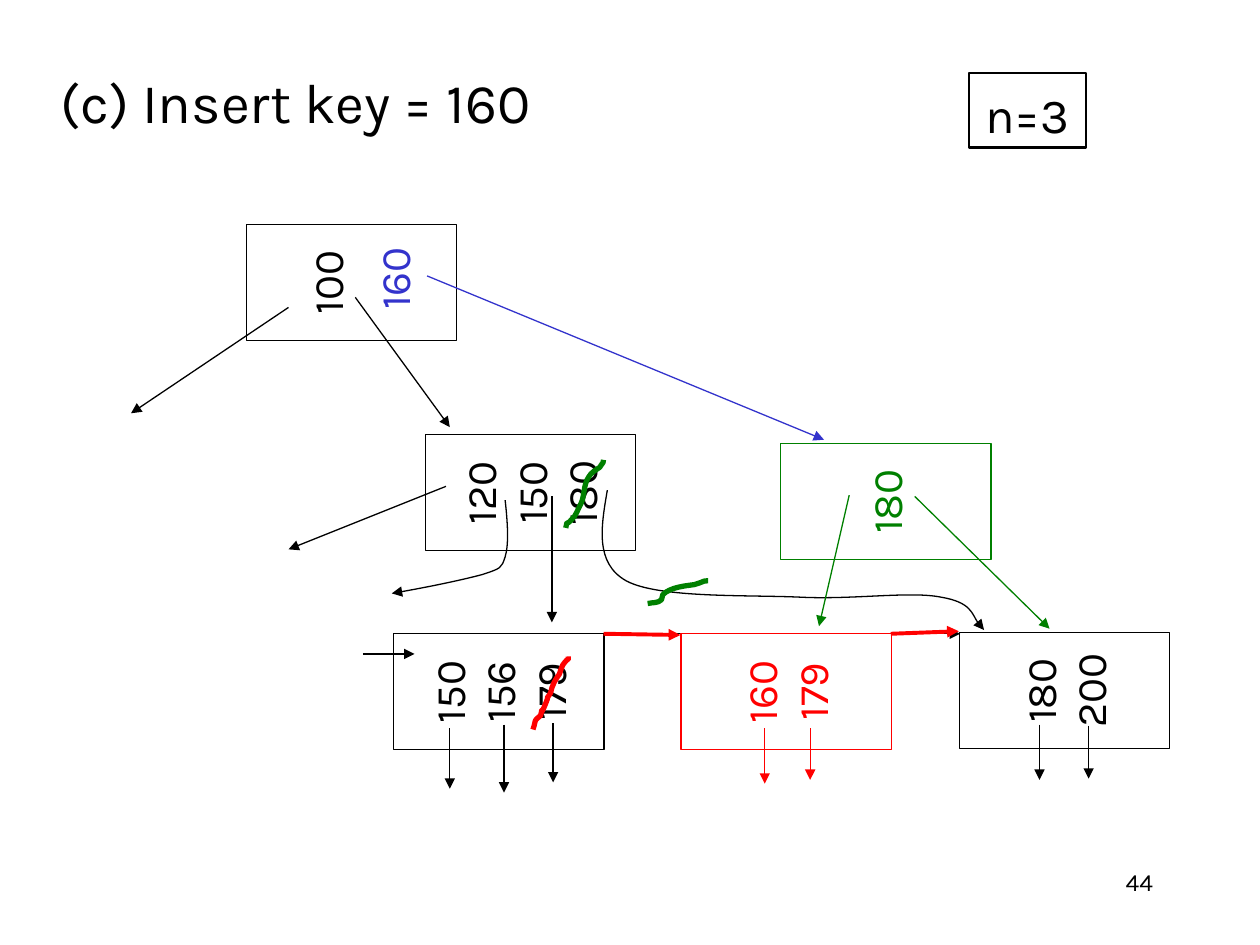
from lxml.etree import SubElement
from pptx import Presentation
from pptx.dml.color import RGBColor
from pptx.enum.shapes import MSO_CONNECTOR as Link, MSO_SHAPE as Form
from pptx.enum.text import MSO_ANCHOR as Anchor, PP_ALIGN as Align
from pptx.oxml.ns import qn
from pptx.util import Inches, Pt

COLS, ROWS = 100, 75
BLACK, BLUE, GREEN, RED = "000000", "3333CC", "008000", "FF0000"


def color(code):
    return RGBColor.from_string(code)


class Board:
    """Draws on one slide; lengths are columns and rows of a 100 x 75 grid."""
    font = "Karla"
    thin = 0.75
    node_w, node_h = 16.7, 9.2

    def __init__(self, deck):
        self.slide = deck.slides.add_slide(deck.slide_layouts[6])
        self.shapes = self.slide.shapes
        self.dx = deck.slide_width / COLS
        self.dy = deck.slide_height / ROWS

    def spot(self, x, y):
        return round(x * self.dx), round(y * self.dy)

    def letter(self, shape, lines, size, ink, align=Align.CENTER, anchor=Anchor.MIDDLE, wrap=False):
        """Sets the lines as the shape's paragraphs and returns its text frame."""
        frame = shape.text_frame
        frame.word_wrap = wrap
        frame.vertical_anchor = anchor
        for i, line in enumerate(lines):
            para = frame.paragraphs[0] if i == 0 else frame.add_paragraph()
            para.alignment = align
            run = para.add_run()
            run.text = line
            run.font.name = self.font
            run.font.size = Pt(size)
            run.font.color.rgb = color(ink)
        return frame

    def label(self, x, y, w, h, text, size, ink=BLACK, turn=0, **style):
        box = self.shapes.add_textbox(*self.spot(x, y), *self.spot(w, h))
        box.rotation = turn
        self.letter(box, [text], size, ink, **style)

    def box(self, x, y, w, h, ink, width):
        rect = self.shapes.add_shape(Form.RECTANGLE, *self.spot(x, y), *self.spot(w, h))
        rect.shadow.inherit = False
        rect.fill.solid()
        rect.fill.fore_color.rgb = color("FFFFFF")
        self.stroke(rect, ink, width)
        return rect

    def node(self, x, y, keys, ink=BLACK):
        """Tree node centred at x, y, turned so that its keys read upwards."""
        rect = self.box(x - self.node_h / 2, y - self.node_w / 2,
                        self.node_h, self.node_w, ink, self.thin)
        rect.rotation = 270
        return self.letter(rect, keys, 24, ink)

    def stroke(self, shape, ink, width, head=False):
        shape.line.color.rgb = color(ink)
        shape.line.width = Pt(width)
        if head:
            edge = shape._element.spPr.find(qn("a:ln"))
            SubElement(edge, qn("a:tailEnd"), type="triangle")

    def arrow(self, x1, y1, x2, y2, ink=BLACK, width=thin):
        line = self.shapes.add_connector(Link.STRAIGHT, *self.spot(x1, y1), *self.spot(x2, y2))
        self.stroke(line, ink, width, head=True)
        SubElement(line._element.spPr, qn("a:effectLst"))

    def curve(self, points, ink=BLACK, width=thin, head=False):
        """Bezier path: a start point, then three points for each segment."""
        first, *rest = [self.spot(*point) for point in points]
        pen = self.shapes.build_freeform(*first)
        pen.add_line_segments(rest, close=False)
        shape = pen.convert_to_shape()
        track = next(shape._element.iter(qn("a:path")))
        steps = track.findall(qn("a:lnTo"))
        for i in range(0, len(steps), 3):
            bend = SubElement(track, qn("a:cubicBezTo"))
            for step in steps[i:i + 3]:
                bend.append(step[0])
                track.remove(step)
        shape.shadow.inherit = False
        shape.fill.background()
        self.stroke(shape, ink, width, head)

    def drops(self, *lines, ink=BLACK):
        for x, top, end in lines:
            self.arrow(x, top, x, end, ink)


def draw(board):
    board.label(71.7, 68.3, 20.8, 5, "44", 14, align=Align.RIGHT, anchor=Anchor.TOP, wrap=True)
    board.label(3.8, 4.9, 47.6, 7.4, "(c) Insert key = 160", 32,
                align=Align.LEFT, anchor=Anchor.TOP, wrap=True)
    order = board.box(76.9, 5.8, 9.3, 5.9, BLACK, 1.5)
    board.letter(order, ["n=3"], 28, BLACK).margin_top = Inches(0.1)

    # Tree before the insertion
    root = board.node(27.9, 22.4, ["100"])
    root.margin_bottom = Inches(0.44)  # keeps room for a second key
    board.arrow(22.9, 24.4, 10.4, 32.8)
    board.arrow(28.2, 23.6, 35.7, 33.9)
    board.node(42.1, 39.1, ["120", "150", "180"])
    board.node(39.6, 54.9, ["150", "156", "179"])
    board.node(84.5, 54.8, ["180", "200"])
    board.arrow(35.4, 38.6, 22.9, 43.6)
    board.arrow(28.8, 51.9, 32.9, 51.9)
    board.drops((43.8, 39.4, 49.4))
    board.curve([(40.1, 39.7), (40.3, 41.5), (40.4, 43.2), (40.1, 44.2),
                 (39.8, 45.1), (39.8, 45.1), (38.3, 45.6),
                 (36.8, 46), (34, 46.6), (31.1, 47.1)], head=True)
    board.arrow(47.9, 50.3, 76.2, 50.3)
    board.curve([(48.2, 38.9), (47.7, 41.8), (47.2, 44.7), (49.7, 46.1),
                 (52.3, 47.5), (59.4, 47.2), (63.6, 47.4),
                 (67.8, 47.6), (72.3, 46.9), (74.7, 47.4),
                 (77.1, 47.8), (77.5, 49.6), (78.1, 50)], head=True)
    board.drops((35.7, 57.8, 62.6), (40, 57.5, 62.9), (43.9, 57.4, 62.1),
                (82.5, 57.5, 61.9), (86.4, 57.6, 61.8))

    # New key in the root
    board.label(27.5, 19.6, 7.5, 5, "160", 24, BLUE, turn=270)
    board.arrow(33.9, 21.9, 65.4, 34.9, BLUE)

    # Split of the inner node
    board.node(70.3, 39.8, ["180"], GREEN)
    board.arrow(67.4, 39.3, 65, 49.7, GREEN)
    board.arrow(72.6, 39.4, 83.3, 49.9, GREEN)
    board.curve([(51.4, 47.9), (51.8, 47.8), (52.2, 47.9), (52.5, 47.6),
                 (52.6, 47.5), (52.5, 47.3), (52.6, 47.2),
                 (53.2, 46.6), (54.4, 46.5), (55.1, 46.4),
                 (56.1, 46.1), (55.7, 46.1), (56.2, 46.1)], GREEN, 3)
    board.curve([(44.9, 41.9), (45.1, 41.1), (44.8, 41.9), (45.4, 41.2),
                 (45.7, 41), (45.9, 40.3), (46.1, 40),
                 (46.4, 39.4), (46.3, 38.5), (46.7, 37.9),
                 (46.9, 37.5), (47.3, 37.3), (47.6, 37.1),
                 (47.9, 36.6), (47.9, 36.8), (47.9, 36.5)], GREEN, 3)

    # Split of the leaf
    board.node(62.4, 54.9, ["160", "179"], RED)
    board.arrow(47.9, 50.3, 54, 50.4, RED, 2.25)
    board.arrow(70.7, 50.3, 76.1, 50.1, RED, 2.25)
    board.drops((60.7, 57.8, 62.2), (64.3, 57.8, 61.9), ink=RED)
    board.curve([(42.3, 57.9), (42.6, 57), (42.3, 57.3), (42.9, 56.8),
                 (43.2, 55.7), (42.7, 57.2), (43.2, 56.1),
                 (43.8, 54.7), (43.1, 55.9), (43.7, 55),
                 (43.8, 54.4), (44.1, 53.9), (44.4, 53.5),
                 (44.5, 53.2), (44.6, 52.8), (44.8, 52.6),
                 (45.2, 52.1), (45.1, 52.5), (45.1, 52.1)], RED, 3)


def main():
    deck = Presentation()
    deck.slide_width, deck.slide_height = Inches(10), Inches(7.5)
    draw(Board(deck))
    deck.save("out.pptx")


if __name__ == "__main__":
    main()
